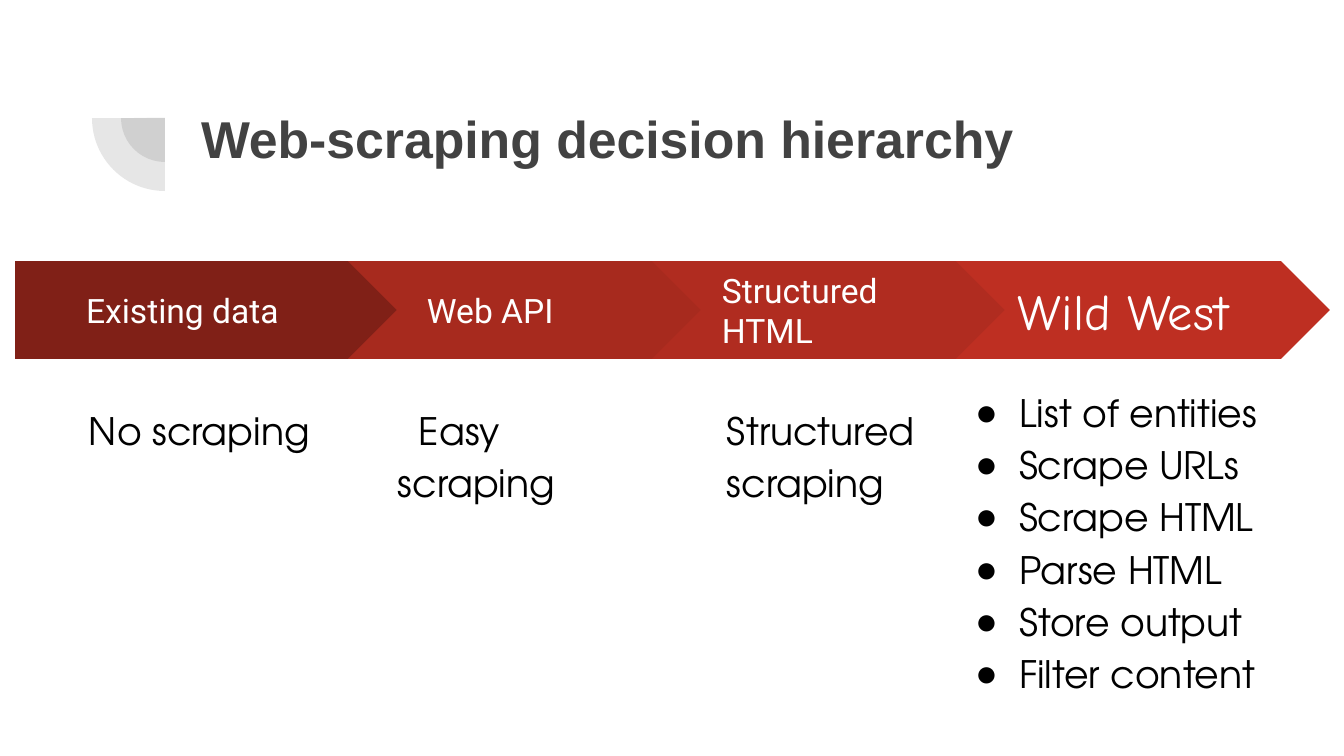
"""Build the web-scraping decision hierarchy slide."""
from lxml import etree
from pptx import Presentation
from pptx import util as u
from pptx.dml.color import RGBColor
from pptx.enum import shapes, text
from pptx.oxml import ns

SCALE = 914400 / 100.8
INSET = 13
COLORS = {"ink": "424242", "white": "FFFFFF", "black": "000000"}
TITLE = "Web-scraping decision hierarchy"
STAGES = [
    dict(lines=["Existing data"], fill="802017", margin=58),
    dict(lines=["Web API"], fill="A72A1E", margin=17),
    dict(lines=["Structured", "HTML"], fill="B02C20", margin=8),
    dict(lines=["Wild West"], fill="BE2F22", font="Comic Neue", size=36),
]
CAPTIONS = [
    dict(lines=["No scraping"]),
    dict(lines=["Easy scraping"], indent=21),
    dict(lines=["Structured", "scraping"], margin=20),
]
STEPS = ["List of entities", "Scrape URLs", "Scrape HTML",
         "Parse HTML", "Store output", "Filter content"]
BODY = dict(font="TeX Gyre Adventor", size=27, color="black", spacing=1.15)


def px(*lengths):
    return [round(length * SCALE) for length in lengths]


def place(box, *frame):
    box.left, box.top, box.width, box.height = px(*frame)


def fill_shape(shape, color):
    shape.shadow.inherit = False
    shape.fill.solid()
    shape.fill.fore_color.rgb = RGBColor.from_string(color)
    shape.line.fill.background()


def add_bullet(properties):
    color = etree.SubElement(properties, ns.qn("a:buClr"))
    etree.SubElement(color, ns.qn("a:srgbClr"), val=COLORS["black"])
    etree.SubElement(properties, ns.qn("a:buFont"), typeface="Arial")
    etree.SubElement(properties, ns.qn("a:buChar"), char="●")


def write(box, lines, font="Roboto", size=24, color="white", bold=False, margin=0,
          indent=0, spacing=1.0, bullet=False, anchor=text.MSO_ANCHOR.TOP):
    frame = box.text_frame
    frame.word_wrap = True
    frame.auto_size = text.MSO_AUTO_SIZE.NONE
    frame.vertical_anchor = anchor
    inset = px(INSET)[0]
    frame.margin_left = frame.margin_right = inset
    frame.margin_top = frame.margin_bottom = inset
    for number, line in enumerate(lines):
        para = frame.add_paragraph() if number else frame.paragraphs[0]
        properties = para._p.get_or_add_pPr()
        for name, length in zip(("marL", "indent"), px(margin, indent)):
            properties.set(name, str(length))
        if bullet:
            add_bullet(properties)
        para.alignment = text.PP_ALIGN.LEFT
        para.line_spacing = spacing
        para.space_before = para.space_after = u.Pt(0)
        span = para.add_run()
        span.text = line
        span.font.name = font
        span.font.size = u.Pt(size)
        span.font.bold = bold
        span.font.color.rgb = RGBColor.from_string(COLORS[color])


def add_quarter(page, radius):
    center_x, center_y = 165, 118
    quarter = page.shapes.add_shape(
        shapes.MSO_SHAPE.PIE,
        *px(center_x - radius, center_y - radius, 2 * radius, 2 * radius))
    quarter.adjustments[0] = 54
    quarter.adjustments[1] = 108
    fill_shape(quarter, COLORS["ink"])
    color = quarter.fill._xPr.find(".//" + ns.qn("a:srgbClr"))
    etree.SubElement(color, ns.qn("a:alpha"), val="13000")


def add_stage(page, number, lines, fill, **style):
    if number:
        kind, left, width = shapes.MSO_SHAPE.CHEVRON, 44 + 304 * number, 374
    else:
        kind, left, width = shapes.MSO_SHAPE.PENTAGON, 15, 401
    arrow = page.shapes.add_shape(kind, *px(left, 261, width, 98))
    fill_shape(arrow, fill)
    write(arrow, lines, anchor=text.MSO_ANCHOR.MIDDLE, **style)


def main():
    deck = Presentation()
    deck.slide_width, deck.slide_height = px(1344, 756)
    page = deck.slides.add_slide(deck.slide_layouts[1])
    title, body = page.placeholders
    place(title, 188, 94, 1033, 147)
    write(title, [TITLE], font="Arial", size=37, color="ink", bold=True)
    for radius in (44, 73):
        add_quarter(page, radius)
    for number, stage in enumerate(STAGES):
        add_stage(page, number, **stage)
    for number, caption in enumerate(CAPTIONS):
        box = page.shapes.add_textbox(*px(76 + 309 * number, 388, 280, 384 - 24))
        write(box, **caption, **BODY)
    place(body, 956, 370, 379, 361)
    write(body, STEPS, margin=50, indent=-44, bullet=True, **BODY)
    deck.save("out.pptx")


if __name__ == "__main__":
    main()
